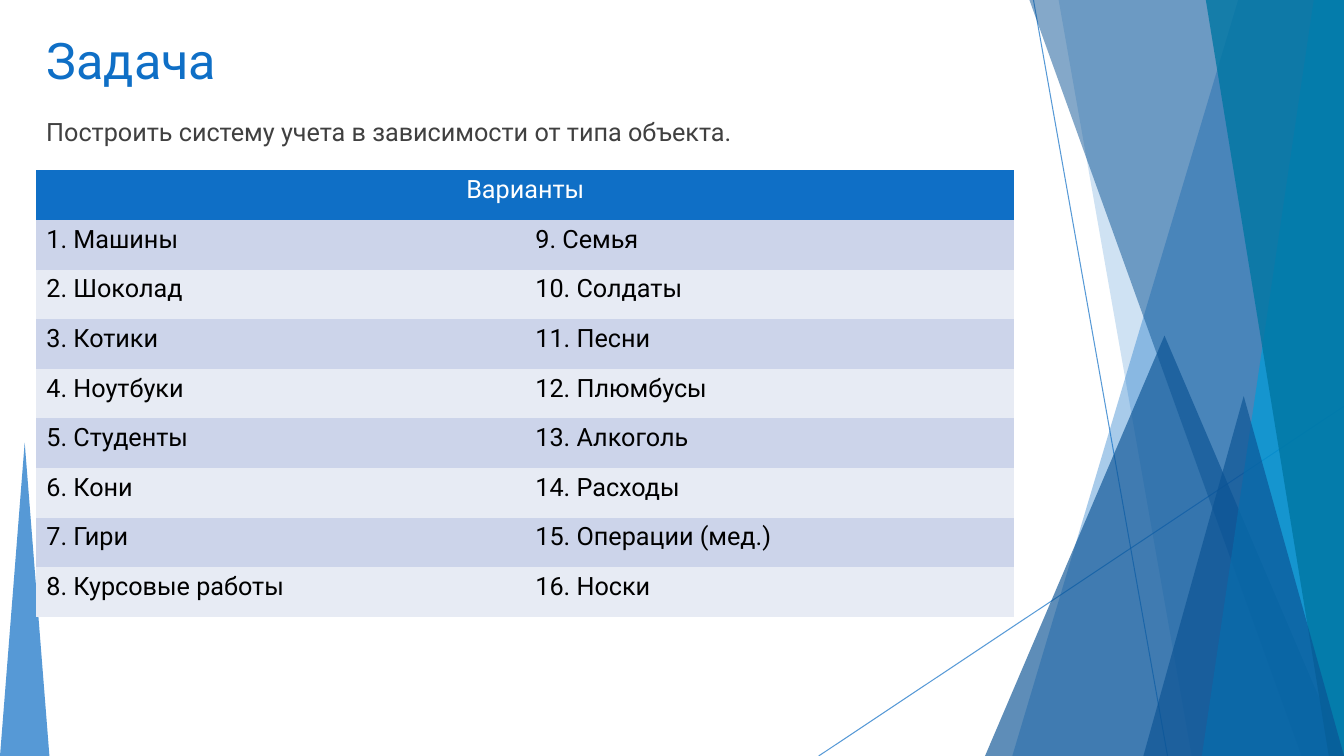
from lxml import etree
from pptx import Presentation
from pptx.dml.color import RGBColor
from pptx.enum.shapes import MSO_CONNECTOR, MSO_SHAPE
from pptx.enum.text import MSO_ANCHOR, MSO_AUTO_SIZE, PP_ALIGN
from pptx.oxml.ns import qn
from pptx.util import Inches, Pt

LEFT, CENTER = PP_ALIGN.LEFT, PP_ALIGN.CENTER
TRIANGLE = MSO_SHAPE.ISOSCELES_TRIANGLE
WIDTH, HEIGHT = 13.33, 7.5
MARGIN = 0.36
FONT = "Roboto"
BLUE, NAVY, CYAN, TEAL = "0F6FC6", "0B5394", "009DD9", "0076A3"
BANDS = ("E7EBF4", "CCD4EA")


def paint(color_format, color, opacity=100):
    """Set a colour, with its opacity in percent."""
    color_format.rgb = RGBColor.from_string(color)
    if opacity < 100:
        element = color_format._xFill.find(qn("a:srgbClr"))
        etree.SubElement(element, qn("a:alpha"), val=str(opacity * 1000))


def format_text(frame, text, size, color, alignment=LEFT):
    frame.text = text
    paragraph = frame.paragraphs[0]
    paragraph.alignment = alignment
    paragraph.font.name = FONT
    paragraph.font.size = Pt(size)
    paint(paragraph.font.color, color)
    return paragraph


presentation = Presentation()
presentation.slide_width, presentation.slide_height = Inches(WIDTH), Inches(HEIGHT)
slide = presentation.slides.add_slide(presentation.slide_layouts[5])
shapes = slide.shapes

# Thin crossing lines
for ends in ((10.25, 0, 11.58, HEIGHT), (WIDTH, 4.03, 8.12, HEIGHT)):
    line = shapes.add_connector(MSO_CONNECTOR.STRAIGHT, *map(Inches, ends))
    line.line.width = Pt(0.75)
    line.line.fill.solid()
    paint(line.line.fill.fore_color, BLUE, 70)
    etree.SubElement(line._element.spPr, qn("a:effectLst"))

# Panels reach the right edge: (top left x, bottom left x, bottom right x)
# Peaks stand on the bottom edge: (left, top, width)
facets = [
    ("panel", (12.28, 10.04, WIDTH), BLUE, 36),
    ("panel", (10.5, 11.82, WIDTH), BLUE, 20),
    ("peak", (9.77, 3.33, 3.56), NAVY, 66),
    ("panel", (10.21, 12.91, WIDTH), NAVY, 50),
    ("panel", (13.03, 11.92, WIDTH), CYAN, 70),
    ("panel", (11.96, 13.18, WIDTH), TEAL, 80),
    ("peak", (11.34, 3.93, 1.99), NAVY, 66),
    ("peak", (0, 4.39, 0.49), BLUE, 70),
]
for kind, measures, color, opacity in facets:
    if kind == "panel":
        top_left, bottom_left, right = map(Inches, measures)
        bottom = Inches(HEIGHT)
        builder = shapes.build_freeform(top_left, 0)
        builder.add_line_segments([(right, 0), (right, bottom), (bottom_left, bottom)])
        facet = builder.convert_to_shape()
    else:
        left, top, width = measures
        facet = shapes.add_shape(TRIANGLE, Inches(left), Inches(top),
                                 Inches(width), Inches(HEIGHT - top))
    facet.shadow.inherit = False
    facet.line.fill.background()
    facet.fill.solid()
    paint(facet.fill.fore_color, color, opacity)

# Title and task
title = shapes.title
title.left, title.top = Inches(MARGIN), Inches(0.24)
title.width, title.height = Inches(9.4), Inches(1.44)
title.text_frame.auto_size = MSO_AUTO_SIZE.NONE
title.text_frame.vertical_anchor = MSO_ANCHOR.TOP
format_text(title.text_frame, "Задача", 36, BLUE)

task = shapes.add_textbox(Inches(MARGIN), Inches(1.1), Inches(10.27), Inches(0.59))
task.text_frame.word_wrap = True
paragraph = format_text(task.text_frame,
                        "Построить систему учета в зависимости от типа объекта.", 18, "404040")
paragraph.space_before = Pt(10)

# Table of variants, numbered down each column
variants = [
    "Машины", "Шоколад", "Котики", "Ноутбуки",
    "Студенты", "Кони", "Гири", "Курсовые работы",
    "Семья", "Солдаты", "Песни", "Плюмбусы",
    "Алкоголь", "Расходы", "Операции (мед.)", "Носки",
]
row_count = len(variants) // 2
table = shapes.add_table(row_count + 1, 2, Inches(MARGIN), Inches(1.69),
                         Inches(9.7), Inches(4.43)).table
header = table.cell(0, 0)
header.merge(table.cell(0, 1))
header.fill.solid()
paint(header.fill.fore_color, BLUE)
format_text(header.text_frame, "Варианты", 18, "FFFFFF", CENTER)
header.text_frame.paragraphs[0].font.bold = False

for index, variant in enumerate(variants):
    column, row = divmod(index, row_count)
    cell = table.cell(row + 1, column)
    cell.fill.solid()
    paint(cell.fill.fore_color, BANDS[(row + 1) % 2])
    format_text(cell.text_frame, f"{index + 1}. {variant}", 18, "000000")

# Plain cells without the default style's white borders
for cell in table.iter_cells():
    properties = cell._tc.get_or_add_tcPr()
    for position, side in enumerate(("a:lnL", "a:lnR", "a:lnT", "a:lnB")):
        border = etree.Element(qn(side), w="0")
        etree.SubElement(border, qn("a:noFill"))
        properties.insert(position, border)

presentation.save("out.pptx")
